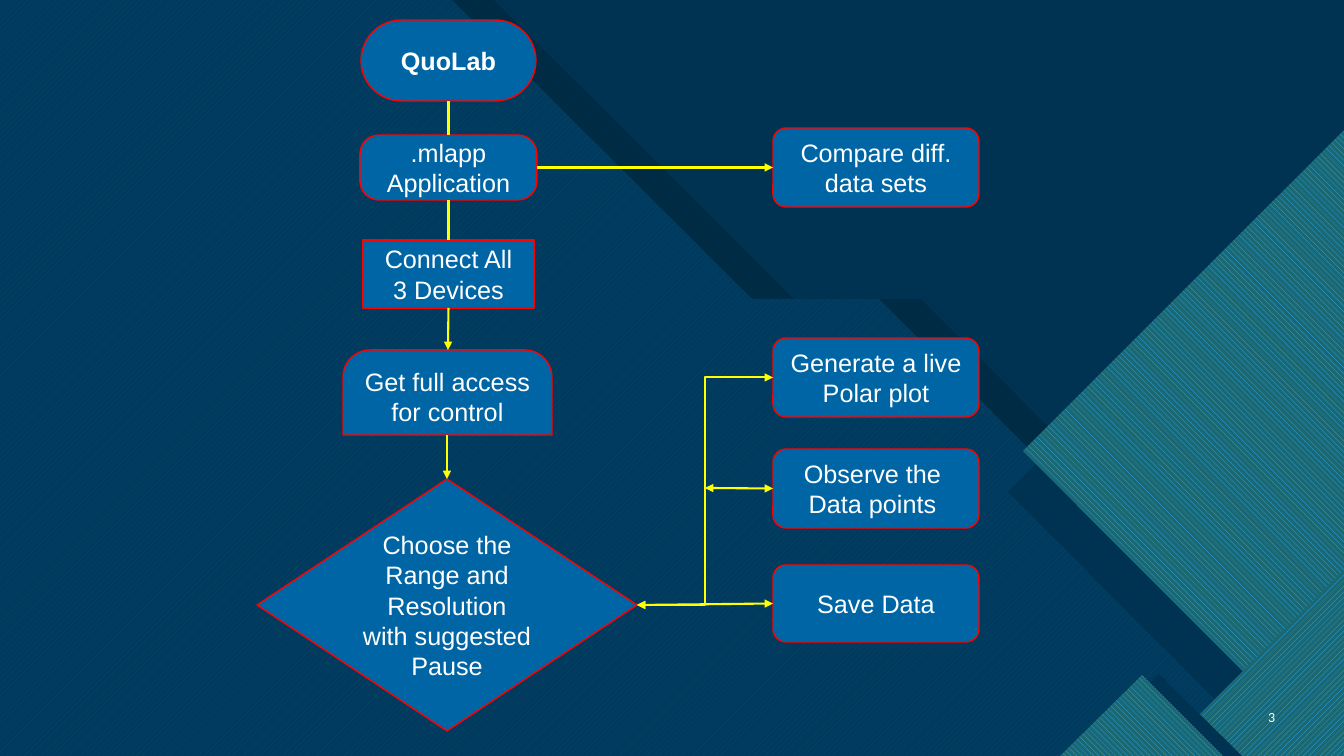
import pptx
import pptx.util
from pptx.dml.color import RGBColor
from pptx.enum.dml import MSO_PATTERN
from pptx.enum.shapes import MSO_CONNECTOR, MSO_SHAPE
from pptx.enum.text import MSO_ANCHOR, PP_ALIGN
from pptx.oxml.ns import qn
from lxml import etree

EMU_PER_PX = 914400 / 100.8
PAGE_W, PAGE_H = 1344, 756

NAVY = RGBColor(0x00, 0x33, 0x52)
BLUE = RGBColor(0x00, 0x65, 0xA4)
AQUA = RGBColor(0x47, 0xC3, 0xD3)
SKY = RGBColor(0x2F, 0xAF, 0xFF)
TEAL = RGBColor(0x1B, 0x68, 0x72)
BLACK = RGBColor(0x00, 0x00, 0x00)
WHITE = RGBColor(0xFF, 0xFF, 0xFF)
RED = RGBColor(0xFF, 0x00, 0x00)
YELLOW = RGBColor(0xFF, 0xFF, 0x00)

TOP, LEFT, BOTTOM, RIGHT = range(4)
UP_HATCH = MSO_PATTERN.WIDE_UPWARD_DIAGONAL
DOWN_HATCH = MSO_PATTERN.WIDE_DOWNWARD_DIAGONAL


def px(length):
    return pptx.util.Emu(round(length * EMU_PER_PX))


def add_panel(page, points, color, hatch=None, back=None, opacity=100):
    """Borderless polygon, plain or hatched."""
    builder = page.shapes.build_freeform(*points[0], scale=EMU_PER_PX)
    builder.add_line_segments(points[1:], close=True)
    panel = builder.convert_to_shape()
    panel.shadow.inherit = False
    panel.line.fill.background()
    if hatch is not None:
        panel.fill.patterned()
        panel.fill.pattern = hatch
        panel.fill.fore_color.rgb = color
        panel.fill.back_color.rgb = back
    else:
        panel.fill.solid()
        panel.fill.fore_color.rgb = color
    if opacity < 100:
        color_node = panel._element.spPr.find(qn("a:solidFill"))[0]
        etree.SubElement(color_node, qn("a:alpha"), val=str(opacity * 1000))


def write_lines(shape, lines, size, font, align, bold=False):
    frame = shape.text_frame
    frame.word_wrap = True
    frame.vertical_anchor = MSO_ANCHOR.MIDDLE
    frame.text = "\n".join(lines)
    for para in frame.paragraphs:
        para.alignment = align
        para.font.size = pptx.util.Pt(size)
        para.font.name = font
        para.font.bold = bold
        para.font.color.rgb = WHITE


def add_step(page, kind, bounds, lines, adjustments=(), bold=False):
    """Blue flowchart box with a red outline."""
    step = page.shapes.add_shape(kind, *map(px, bounds))
    step.shadow.inherit = False
    for index, value in enumerate(adjustments):
        step.adjustments[index] = value
    step.fill.solid()
    step.fill.fore_color.rgb = BLUE
    step.line.color.rgb = RED
    step.line.width = pptx.util.Pt(1)
    write_lines(step, lines, 18, "Arial", PP_ALIGN.CENTER, bold)
    return step


def locate(end):
    """Page position of a point in px or of a (step, side) pair."""
    place, side = end
    if isinstance(place, int):
        return px(place), px(side)
    x = place.left + {LEFT: 0, RIGHT: place.width}.get(side, place.width // 2)
    y = place.top + {TOP: 0, BOTTOM: place.height}.get(side, place.height // 2)
    return x, y


def add_link(page, start, end, arrows=(), kind=MSO_CONNECTOR.STRAIGHT):
    """Yellow connector; arrows holds "headEnd" and/or "tailEnd"."""
    link = page.shapes.add_connector(kind, *locate(start), *locate(end))
    if not isinstance(start[0], int):
        link.begin_connect(*start)
    if not isinstance(end[0], int):
        link.end_connect(*end)
    link.line.color.rgb = YELLOW
    link.line.width = pptx.util.Pt(1.5)
    line_node = link.line._get_or_add_ln()
    for arrow in arrows:
        etree.SubElement(line_node, qn("a:" + arrow), type="triangle")
    etree.SubElement(link._element.spPr, qn("a:effectLst"))


def add_backdrop(page):
    page.background.fill.solid()
    page.background.fill.fore_color.rgb = NAVY
    # Stepped panel, its shade and the navy veil above both
    add_panel(page, [(42, 0), (494, 0), (794, 299), (921, 299),
                     (PAGE_W, 723), (PAGE_W, PAGE_H), (42, PAGE_H)], BLACK)
    add_panel(page, [(0, 0), (452, 0), (752, 299), (879, 299),
                     (1336, PAGE_H), (0, PAGE_H)], AQUA, UP_HATCH, BLUE)
    add_panel(page, [(0, 0), (701, 0), (1000, 299), (1127, 299),
                     (PAGE_W, 517), (PAGE_W, PAGE_H), (0, PAGE_H)], NAVY, opacity=85)
    # Teal corners at the right and bottom
    add_panel(page, [(PAGE_W, 156), (PAGE_W, 714), (1230, 714), (1008, 492)], NAVY)
    add_panel(page, [(PAGE_W, 130), (PAGE_W, 743), (1315, 743), (1023, 451)],
              SKY, DOWN_HATCH, TEAL)
    add_panel(page, [(PAGE_W, 570), (PAGE_W, PAGE_H), (1158, PAGE_H)],
              SKY, UP_HATCH, TEAL)
    add_panel(page, [(1242, PAGE_H), (1159, 674), (1077, PAGE_H)], NAVY)
    add_panel(page, [(1060, PAGE_H), (1142, 675), (1223, PAGE_H)],
              SKY, DOWN_HATCH, TEAL)


def add_flowchart(page):
    rounded = MSO_SHAPE.ROUNDED_RECTANGLE
    # Main column
    program = add_step(page, rounded, (361, 20, 175, 81), ["QuoLab"], [0.5], True)
    app = add_step(page, rounded, (360, 135, 177, 65), [".mlapp", "Application"], [0.29])
    devices = add_step(page, MSO_SHAPE.RECTANGLE, (363, 240, 171, 68),
                       ["Connect All", "3 Devices"])
    access = (343, 350, 209, 85)
    add_step(page, MSO_SHAPE.ROUND_2_SAME_RECTANGLE, access,
             ["Get full access for control"], [0.32, 0])
    choice = add_step(page, MSO_SHAPE.DIAMOND, (257, 479, 380, 252),
                      ["Choose the Range and Resolution with suggested Pause"])

    # Right column
    compare, plot, observe, save = [
        add_step(page, rounded, (773, top, 206, height), lines)
        for top, height, lines in [
            (128, 79, ["Compare diff. data sets"]),
            (338, 79, ["Generate a live", "Polar plot"]),
            (449, 79, ["Observe the ", "Data points "]),
            (565, 77, ["Save Data"]),
        ]
    ]

    # Links
    forward, both = ["tailEnd"], ["headEnd", "tailEnd"]
    add_link(page, (app, TOP), (program, BOTTOM))
    add_link(page, (app, BOTTOM), (devices, TOP))
    add_link(page, (devices, BOTTOM), (448, 350), forward)
    add_link(page, (447, 435), (choice, TOP), forward)
    add_link(page, (choice, RIGHT), (plot, LEFT), both, MSO_CONNECTOR.ELBOW)
    add_link(page, (choice, RIGHT), (save, LEFT), both)
    add_link(page, (705, 488), (observe, LEFT), both)
    add_link(page, (app, RIGHT), (compare, LEFT), forward)


def main():
    deck = pptx.Presentation()
    deck.slide_width, deck.slide_height = px(PAGE_W), px(PAGE_H)
    page = deck.slides.add_slide(deck.slide_layouts[6])
    add_backdrop(page)
    number = page.shapes.add_textbox(*map(px, (1241, 697, 44, 40)))
    write_lines(number, ["3"], 10, "Calibri", PP_ALIGN.RIGHT)
    add_flowchart(page)
    deck.save("out.pptx")


if __name__ == "__main__":
    main()
